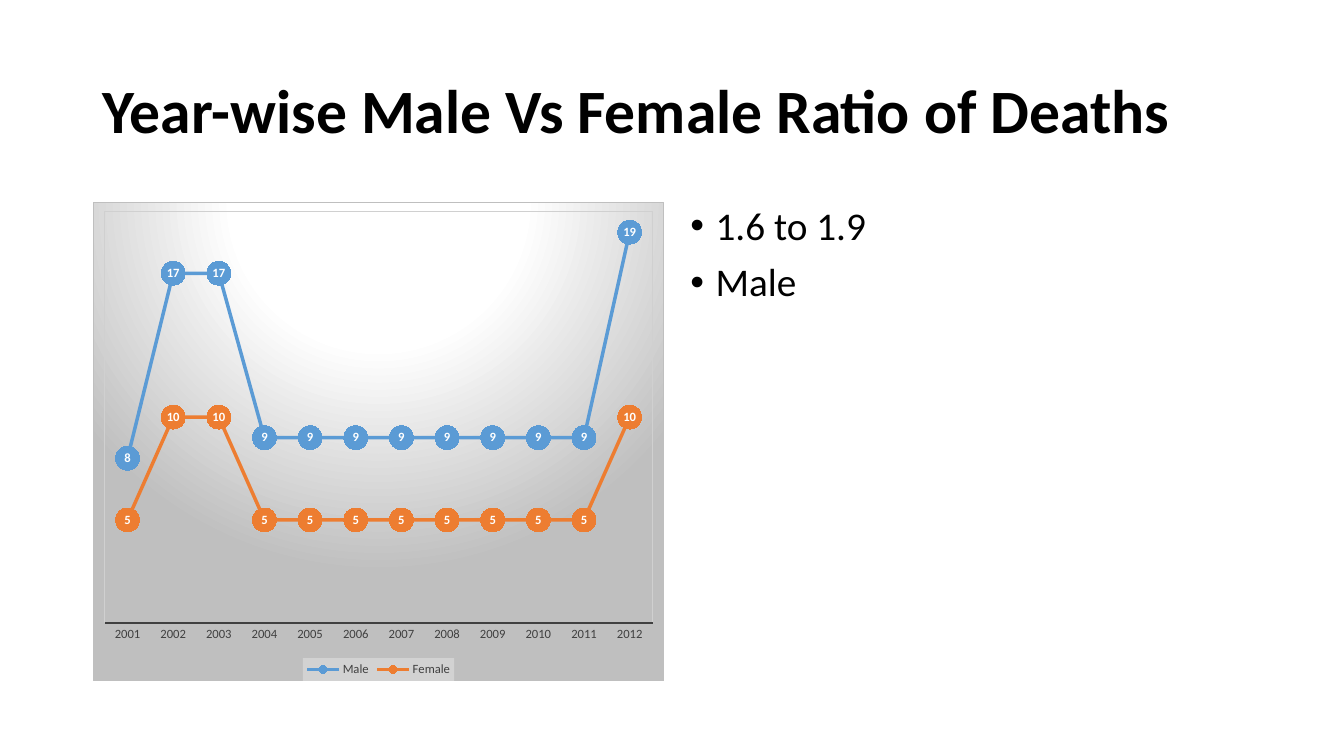
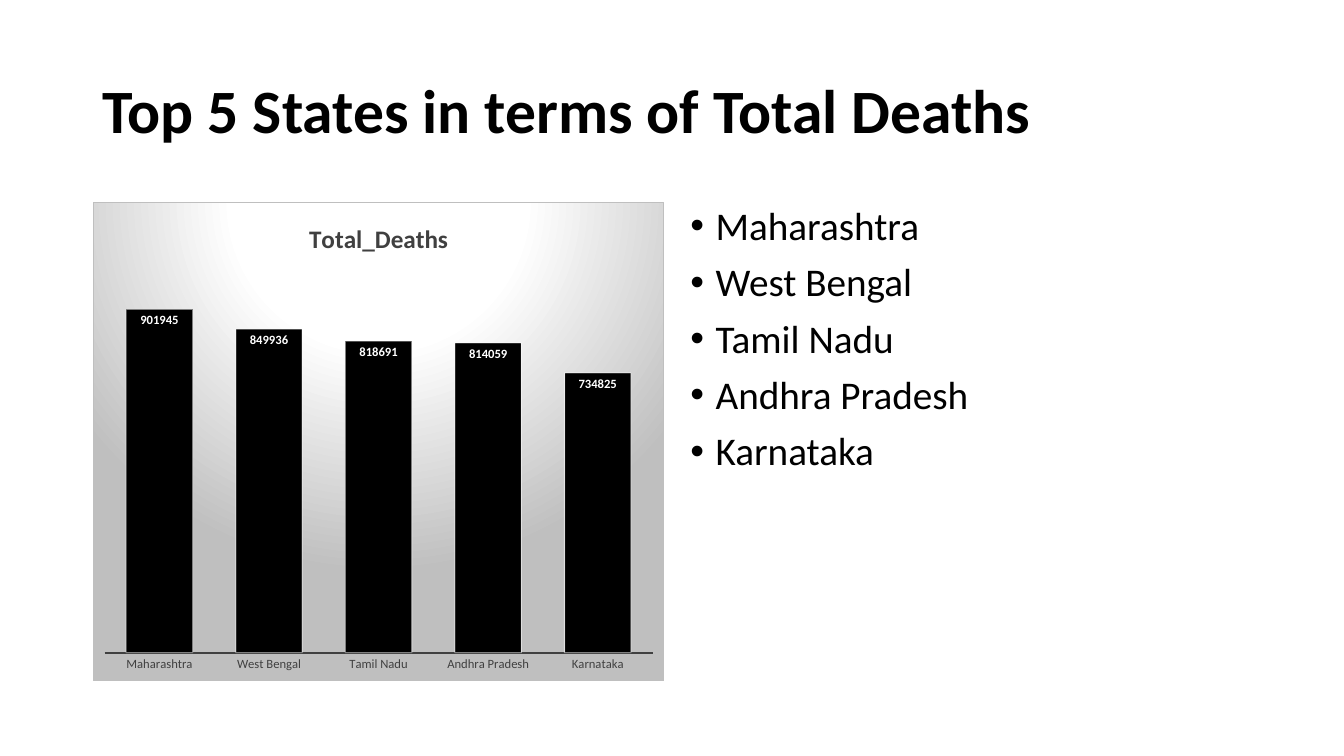
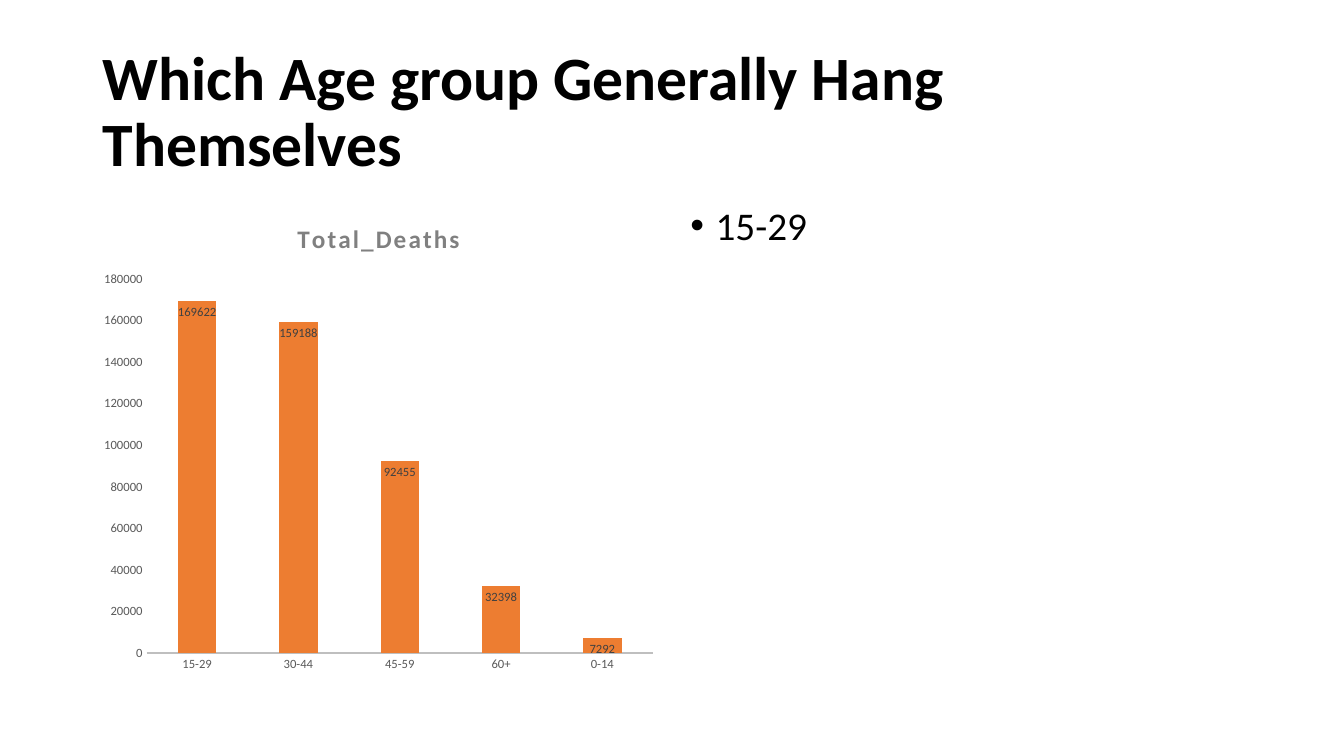
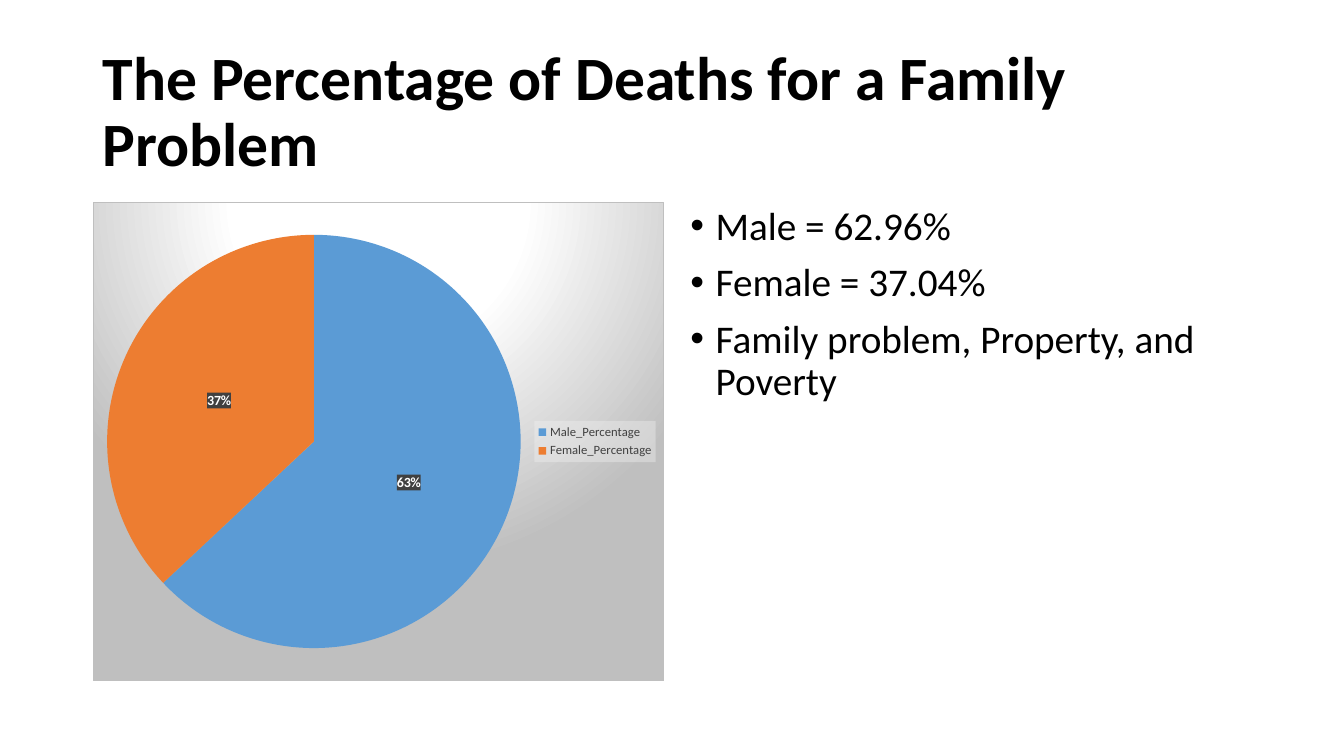
from dataclasses import dataclass, field
from typing import Any, Optional

import pptx
import pptx.chart.data
import pptx.dml.color
import pptx.enum.chart
import pptx.enum.text
import pptx.oxml
import pptx.oxml.ns
import pptx.util

Inches = pptx.util.Inches
ChartType = pptx.enum.chart.XL_CHART_TYPE
LabelPosition = pptx.enum.chart.XL_LABEL_POSITION
LegendPosition = pptx.enum.chart.XL_LEGEND_POSITION


@dataclass(frozen=True)
class Theme:
    font: str = "Calibri"
    black: str = "000000"
    white: str = "FFFFFF"
    dark: str = "404040"
    gray: str = "595959"
    title_gray: str = "808080"
    silver: str = "BFBFBF"
    plot_border: str = "D0D0D0"
    legend_fill: str = "F2F2F2"
    blue: str = "5B9BD5"
    orange: str = "ED7D31"
    title_size: float = 44
    body_size: float = 28
    chart_title_size: float = 18
    chart_size: float = 10
    label_size: float = 9


THEME = Theme()


@dataclass(frozen=True)
class Box:
    left: float
    top: float
    width: float
    height: float

    def lengths(self) -> tuple[Any, ...]:
        return tuple(Inches(value) for value in (self.left, self.top, self.width, self.height))


TITLE_BOX = Box(0.92, 0.4, 11.5, 1.45)
CHART_BOX = Box(0.92, 2, 5.67, 4.76)
BODY_BOX = Box(6.75, 2, 5.67, 4.76)


@dataclass(frozen=True)
class Labels:
    position: Any
    color: str = THEME.white
    size: float = THEME.label_size
    bold: bool = True
    percent: bool = False
    fill: Optional[str] = None


@dataclass(frozen=True)
class Axis:
    text: str = THEME.dark
    line: str = THEME.dark
    show_values: bool = False


@dataclass(frozen=True)
class ChartSpec:
    kind: Any
    categories: list[str]
    series: dict[str, list[float]]
    colors: list[str]
    labels: Labels
    axis: Optional[Axis] = None
    title_color: Optional[str] = None
    title_spacing: int = 0
    legend: Optional[Any] = None
    gradient: bool = True
    plot_border: bool = False
    outline: bool = False
    columns: dict[str, int] = field(default_factory=dict)


@dataclass(frozen=True)
class SlideSpec:
    title: str
    bullets: list[str]
    chart: ChartSpec


SLIDES = [
    SlideSpec(
        "Year-wise Male Vs Female Ratio of Deaths",
        ["1.6 to 1.9", "Male"],
        ChartSpec(
            ChartType.LINE_MARKERS,
            [str(year) for year in range(2001, 2013)],
            {
                "Male": [8, 17, 17, 9, 9, 9, 9, 9, 9, 9, 9, 19],
                "Female": [5, 10, 10, 5, 5, 5, 5, 5, 5, 5, 5, 10],
            },
            [THEME.blue, THEME.orange],
            Labels(LabelPosition.CENTER),
            axis=Axis(),
            legend=LegendPosition.BOTTOM,
            plot_border=True,
        ),
    ),
    SlideSpec(
        "Top 5 States in terms of Total Deaths",
        ["Maharashtra", "West Bengal", "Tamil Nadu", "Andhra Pradesh", "Karnataka"],
        ChartSpec(
            ChartType.COLUMN_CLUSTERED,
            ["Maharashtra", "West Bengal", "Tamil Nadu", "Andhra Pradesh", "Karnataka"],
            {"Total_Deaths": [901945, 849936, 818691, 814059, 734825]},
            [THEME.black],
            Labels(LabelPosition.INSIDE_END),
            axis=Axis(),
            title_color=THEME.dark,
            outline=True,
            columns={"gap_width": 65},
        ),
    ),
    SlideSpec(
        "Which Age group Generally Hang Themselves",
        ["15-29"],
        ChartSpec(
            ChartType.COLUMN_CLUSTERED,
            ["15-29", "30-44", "45-59", "60+", "0-14"],
            {"Total_Deaths": [169622, 159188, 92455, 32398, 7292]},
            [THEME.orange],
            Labels(LabelPosition.INSIDE_END, color=THEME.dark, bold=False),
            axis=Axis(THEME.gray, THEME.silver, True),
            title_color=THEME.title_gray,
            title_spacing=150,
            gradient=False,
            columns={"gap_width": 164, "overlap": -22},
        ),
    ),
    SlideSpec(
        "The Percentage of Deaths for a Family Problem",
        ["Male = 62.96%", "Female = 37.04%", "Family problem, Property, and Poverty"],
        ChartSpec(
            ChartType.PIE,
            ["Male_Percentage", "Female_Percentage"],
            {"Series 1": [63, 37]},
            [THEME.blue, THEME.orange],
            Labels(LabelPosition.CENTER, size=THEME.chart_size, percent=True, fill=THEME.dark),
            legend=LegendPosition.RIGHT,
        ),
    ),
]


def rgb(color: str) -> Any:
    return pptx.dml.color.RGBColor.from_string(color)


def set_attributes(target: Any, values: dict[str, Any]) -> None:
    for name, value in values.items():
        setattr(target, name, value)


def style_font(font: Any, size: float, color: str, bold: bool = False) -> None:
    set_attributes(font, {"name": THEME.font, "size": pptx.util.Pt(size), "bold": bold})
    font.color.rgb = rgb(color)


def fill_solid(target: Any, color: str) -> None:
    target.fill.solid()
    target.fill.fore_color.rgb = rgb(color)


def style_line(line: Any, color: str, width: float) -> None:
    line.color.rgb = rgb(color)
    line.width = pptx.util.Pt(width)


def solid_xml(color: str, alpha: int = 100) -> str:
    return (
        f'<a:solidFill><a:srgbClr val="{color}"><a:alpha val="{alpha * 1000}"/>'
        "</a:srgbClr></a:solidFill>"
    )


def border_xml(color: str) -> str:
    return f'<a:ln w="{pptx.util.Pt(0.75)}">{solid_xml(color)}</a:ln>'


def gradient_xml() -> str:
    stops = ((0, THEME.white), (39, THEME.white), (100, THEME.silver))
    stop_xml = "".join(
        f'<a:gs pos="{position * 1000}"><a:srgbClr val="{color}"/></a:gs>'
        for position, color in stops
    )
    return (
        f'<a:gradFill><a:gsLst>{stop_xml}</a:gsLst><a:path path="circle">'
        '<a:fillToRect l="50000" t="-80000" r="50000" b="180000"/></a:path></a:gradFill>'
    )


def shape_properties(content: str) -> Any:
    namespaces = pptx.oxml.ns.nsdecls("c", "a")
    return pptx.oxml.parse_xml(f"<c:spPr {namespaces}>{content}</c:spPr>")


def add_text(slide: Any, box: Box, lines: list[str], size: float,
             bold: bool = False, bulleted: bool = False, anchor: Any = None) -> None:
    frame = slide.shapes.add_textbox(*box.lengths()).text_frame
    set_attributes(frame, {"word_wrap": True, "vertical_anchor": anchor})
    for index, line in enumerate(lines):
        paragraph = frame.paragraphs[0] if index == 0 else frame.add_paragraph()
        paragraph.line_spacing = 0.9
        if index:
            paragraph.space_before = pptx.util.Pt(10)
        if bulleted:
            properties = paragraph._p.get_or_add_pPr()
            properties.set("marL", str(Inches(0.25)))
            properties.set("indent", str(Inches(-0.25)))
            namespace = pptx.oxml.ns.nsdecls("a")
            properties.append(pptx.oxml.parse_xml(f'<a:buFont {namespace} typeface="Arial"/>'))
            properties.append(pptx.oxml.parse_xml(f'<a:buChar {namespace} char="•"/>'))
        run = paragraph.add_run()
        run.text = line
        style_font(run.font, size, THEME.black, bold)


def style_axes(chart: Any, axis: Axis) -> None:
    for chart_axis in (chart.category_axis, chart.value_axis):
        set_attributes(chart_axis, {
            "has_major_gridlines": False,
            "major_tick_mark": pptx.enum.chart.XL_TICK_MARK.NONE,
            "minor_tick_mark": pptx.enum.chart.XL_TICK_MARK.NONE,
        })
        style_font(chart_axis.tick_labels.font, THEME.label_size, axis.text)
    style_line(chart.category_axis.format.line, axis.line, 1.5)
    chart.value_axis.visible = axis.show_values
    chart.value_axis.format.line.fill.background()


def style_labels(series: Any, labels: Labels) -> None:
    data_labels = series.data_labels
    set_attributes(data_labels, {
        "show_value": not labels.percent,
        "show_percentage": labels.percent,
        "position": labels.position,
    })
    if labels.percent:
        set_attributes(data_labels, {"number_format": "0%", "number_format_is_linked": False})
    style_font(data_labels.font, labels.size, labels.color, labels.bold)
    if labels.fill:
        text_properties = data_labels._element.find(pptx.oxml.ns.qn("c:txPr"))
        text_properties.addprevious(shape_properties(solid_xml(labels.fill, 90)))


def style_series(series: Any, color: str, spec_chart: ChartSpec) -> None:
    if spec_chart.kind == ChartType.PIE:
        for index, point_color in enumerate(spec_chart.colors):
            fill_solid(series.points[index].format, point_color)
    elif spec_chart.kind == ChartType.LINE_MARKERS:
        series.smooth = False
        style_line(series.format.line, color, 2.5)
        set_attributes(series.marker, {
            "style": pptx.enum.chart.XL_MARKER_STYLE.CIRCLE, "size": 17,
        })
        fill_solid(series.marker.format, color)
        series.marker.format.line.fill.background()
    else:
        fill_solid(series.format, color)
        if spec_chart.outline:
            style_line(series.format.line, THEME.white, 0.75)
            line_color = series._element.xpath("./c:spPr/a:ln/a:solidFill/a:srgbClr")[0]
            line_color.append(pptx.oxml.parse_xml(
                f'<a:alpha {pptx.oxml.ns.nsdecls("a")} val="50000"/>'))
    style_labels(series, spec_chart.labels)


def style_title(chart: Any, color: str, spacing: int) -> None:
    run = chart.chart_title.text_frame.paragraphs[0].add_run()
    run.text = "Total_Deaths"
    style_font(run.font, THEME.chart_title_size, color, True)
    if spacing:
        run._r.get_or_add_rPr().set("spc", str(spacing))


def style_legend(chart: Any, position: Any) -> None:
    set_attributes(chart.legend, {"position": position, "include_in_layout": False})
    style_font(chart.legend.font, THEME.label_size, THEME.dark)
    text_properties = chart.legend._element.find(pptx.oxml.ns.qn("c:txPr"))
    text_properties.addprevious(shape_properties(solid_xml(THEME.legend_fill, 39)))


def add_chart(slide: Any, spec_chart: ChartSpec) -> None:
    data = pptx.chart.data.CategoryChartData()
    data.categories = spec_chart.categories
    for name, values in spec_chart.series.items():
        data.add_series(name, values)
    chart = slide.shapes.add_chart(spec_chart.kind, *CHART_BOX.lengths(), data).chart
    style_font(chart.font, THEME.chart_size, THEME.black)
    set_attributes(chart, {
        "has_title": spec_chart.title_color is not None,
        "has_legend": spec_chart.legend is not None,
    })
    plot = chart.plots[0]
    plot.vary_by_categories = spec_chart.kind == ChartType.PIE
    set_attributes(plot, spec_chart.columns)
    for series, color in zip(plot.series, spec_chart.colors):
        style_series(series, color, spec_chart)
    if spec_chart.axis:
        style_axes(chart, spec_chart.axis)
    if spec_chart.title_color:
        style_title(chart, spec_chart.title_color, spec_chart.title_spacing)
    if spec_chart.legend is not None:
        style_legend(chart, spec_chart.legend)
    chart_element = chart._chartSpace.find(pptx.oxml.ns.qn("c:chart"))
    if spec_chart.plot_border:
        plot_area = chart_element.find(pptx.oxml.ns.qn("c:plotArea"))
        plot_area.append(shape_properties("<a:noFill/>" + border_xml(THEME.plot_border)))
    background = (gradient_xml() + border_xml(THEME.silver) if spec_chart.gradient
                  else "<a:noFill/><a:ln><a:noFill/></a:ln>")
    chart_element.addnext(shape_properties(background))


def add_slide(presentation: Any, content: SlideSpec) -> None:
    slide = presentation.slides.add_slide(presentation.slide_layouts[6])
    add_text(slide, TITLE_BOX, [content.title], THEME.title_size, bold=True,
             anchor=pptx.enum.text.MSO_ANCHOR.MIDDLE)
    add_text(slide, BODY_BOX, content.bullets, THEME.body_size, bulleted=True)
    add_chart(slide, content.chart)


def main() -> None:
    presentation = pptx.Presentation()
    set_attributes(presentation, {"slide_width": Inches(13.33), "slide_height": Inches(7.5)})
    for content in SLIDES:
        add_slide(presentation, content)
    presentation.save("out.pptx")


if __name__ == "__main__":
    main()
